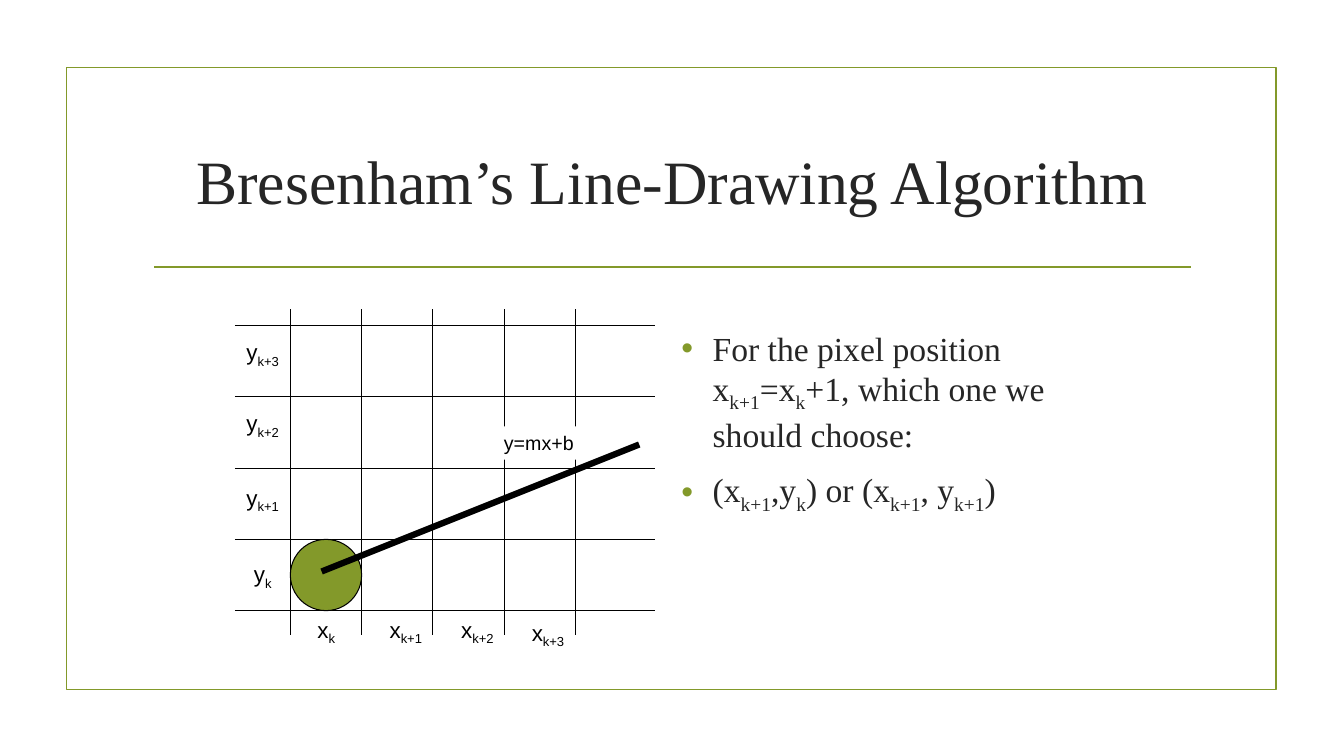
from lxml.etree import SubElement
from pptx import Presentation
from pptx.dml.color import RGBColor
from pptx.enum.shapes import MSO_CONNECTOR, MSO_SHAPE
from pptx.enum.text import MSO_ANCHOR, PP_ALIGN
from pptx.oxml import parse_xml
from pptx.oxml.ns import nsdecls, qn
from pptx.util import Inches, Pt

GREEN, BLACK, GREY, WHITE = "83992A", "000000", "262626", "FFFFFF"
SERIF, SANS = "Times New Roman", "Arial"
CELL, LEFT, TOP = 0.707, 2.88, 3.23
COUNT = 5
BASE = TOP + 4 * CELL


def color(code):
    """Turn a hex string into a colour."""
    return RGBColor.from_string(code)


def add_line(slide, start, end, code, width):
    """Draw a straight line without a shadow."""
    line = slide.shapes.add_connector(
        MSO_CONNECTOR.STRAIGHT, *map(Inches, start + end))
    line.line.color.rgb = color(code)
    line.line.width = Pt(width)
    SubElement(line._element.spPr, qn("a:effectLst"))


def add_form(slide, kind, box, fill=None, edge=None, width=0.75):
    """Draw a preset shape with an optional fill and edge."""
    form = slide.shapes.add_shape(kind, *map(Inches, box))
    form.shadow.inherit = False
    if fill:
        form.fill.solid()
        form.fill.fore_color.rgb = color(fill)
    else:
        form.fill.background()
    if edge:
        form.line.color.rgb = color(edge)
        form.line.width = Pt(width)
    else:
        form.line.fill.background()
    return form


def add_box(slide, box):
    """Add an empty text box that wraps."""
    return slide.shapes.add_textbox(*map(Inches, box))


def write(para, text, face, size, code, align=PP_ALIGN.LEFT):
    """Fill a paragraph; every second part between bars is a subscript."""
    para.alignment = align
    para.font.name = face
    para.font.size = Pt(size)
    para.font.color.rgb = color(code)
    for place, part in enumerate(text.split("|")):
        run = para.add_run()
        run.text = part
        if place % 2:
            run._r.get_or_add_rPr().set("baseline", "-25000")


def add_text(slide, box, text, face, size, code):
    """Add a centred text box."""
    frame = add_box(slide, box).text_frame
    frame.word_wrap = True
    frame.vertical_anchor = MSO_ANCHOR.TOP
    write(frame.paragraphs[0], text, face, size, code, PP_ALIGN.CENTER)
    return frame


def add_list(slide, box, items):
    """Add a bulleted list."""
    frame = add_box(slide, box).text_frame
    frame.word_wrap = True
    for place, item in enumerate(items):
        para = frame.add_paragraph() if place else frame.paragraphs[0]
        para.space_before = Pt(10.8 if place else 0)
        write(para, item, SERIF, 24, GREY)
        props = para._p.get_or_add_pPr()
        props.set("marL", str(Inches(0.31)))
        props.set("indent", str(Inches(-0.31)))
        font = props.find(qn("a:defRPr"))
        space = nsdecls("a")
        for mark in (
                f'<a:buClr {space}><a:srgbClr val="{GREEN}"/></a:buClr>',
                f'<a:buFont {space} typeface="{SANS}"/>',
                f'<a:buChar {space} char="•"/>'):
            font.addprevious(parse_xml(mark))


def add_frame(slide):
    """Draw the border, the title and its rule."""
    add_form(slide, MSO_SHAPE.RECTANGLE, (0.66, 0.67, 12, 6.17),
             edge=GREEN, width=1.25)
    add_line(slide, (1.53, 2.65), (11.81, 2.65), GREEN, 1.25)
    title = add_text(slide, (1.42, 1.07, 10.5, 1.43),
                     "Bresenham’s Line-Drawing Algorithm", SERIF, 44, GREY)
    title.vertical_anchor = MSO_ANCHOR.MIDDLE


def add_grid(slide):
    """Draw the pixel grid, the first pixel and the ideal line."""
    for step in range(COUNT):
        row, col = TOP + step * CELL, LEFT + step * CELL
        add_line(slide, (2.33, row), (6.5, row), BLACK, 0.75)
        add_line(slide, (col, 3.07), (col, 6.3), BLACK, 0.75)
    add_form(slide, MSO_SHAPE.OVAL, (LEFT, BASE - CELL, CELL, CELL),
             GREEN, BLACK)
    add_line(slide, (3.19, 5.67), (6.34, 4.41), BLACK, 4.5)
    label = add_form(slide, MSO_SHAPE.RECTANGLE, (4.61, 4.23, 1.18, 0.33),
                     WHITE)
    write(label.text_frame.paragraphs[0], "y=mx+b", SANS, 14, BLACK,
          PP_ALIGN.RIGHT)


def add_marks(slide):
    """Name the rows and columns of the grid."""
    rows = (5.51, 4.75, 4.01, 3.31)
    cols = ((2.88, 6.06), (3.67, 6.06), (4.38, 6.06), (5.08, 6.09))
    for step, (row, spot) in enumerate(zip(rows, cols)):
        index = f"k+{step}" if step else "k"
        for name, place in (("y", (2.25, row)), ("x", spot)):
            add_text(slide, place + (0.71, 0.37), f"{name}|{index}",
                     SANS, 16, BLACK)


def main():
    """Build and save the slide."""
    deck = Presentation()
    deck.slide_width, deck.slide_height = Inches(13.33), Inches(7.5)
    slide = deck.slides.add_slide(deck.slide_layouts[6])
    add_frame(slide)
    add_list(slide, (6.66, 3.2, 4.49, 2.55), (
        "For the pixel position x|k+1|=x|k|+1, which one we should choose:",
        "(x|k+1|,y|k|) or (x|k+1|, y|k+1|)"))
    add_grid(slide)
    add_marks(slide)
    deck.save("out.pptx")


if __name__ == "__main__":
    main()
